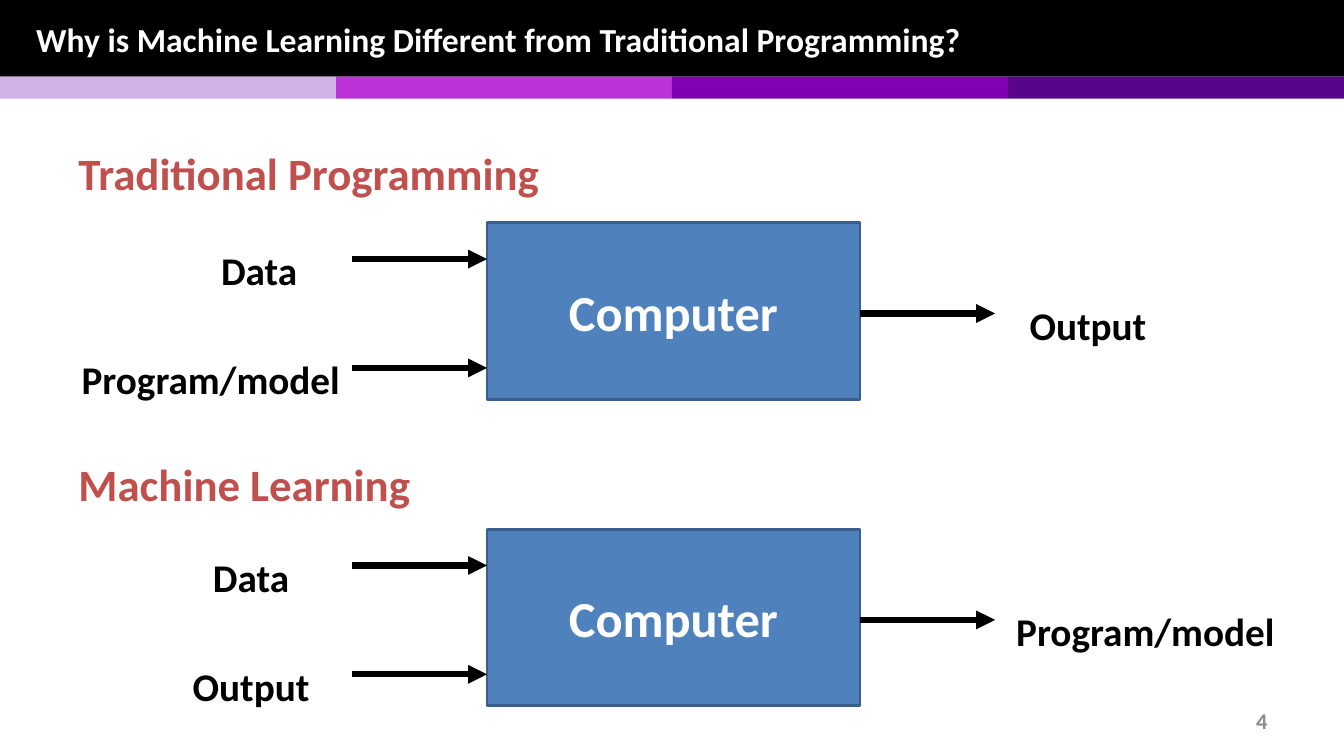
from lxml.etree import SubElement
from pptx import Presentation
from pptx.dml.color import RGBColor
from pptx.enum.shapes import MSO_CONNECTOR, MSO_SHAPE
from pptx.enum.text import MSO_ANCHOR, PP_ALIGN
from pptx.oxml.ns import qn
from pptx.util import Inches, Pt

BLACK = RGBColor(0x00, 0x00, 0x00)
WHITE = RGBColor(0xFF, 0xFF, 0xFF)
GREY = RGBColor(0x8C, 0x8C, 0x8C)
RED = RGBColor(0xC0, 0x50, 0x4D)
BLUE = RGBColor(0x4F, 0x81, 0xBD)
DARK_BLUE = RGBColor(0x3A, 0x5F, 0x8C)
STRIPES = [RGBColor(0xCF, 0xB3, 0xE6), RGBColor(0xBD, 0x33, 0xDA),
           RGBColor(0x80, 0x00, 0xB3), RGBColor(0x57, 0x05, 0x8A)]

# Content: each label is (text, horizontal centre)
TITLE = "Why is Machine Learning Different from Traditional Programming?"
PAGE_NUMBER = "4"
DIAGRAMS = [
    {"heading": "Traditional Programming", "heading_top": 1.13, "top": 2.21,
     "inputs": [("Data", 2.57), ("Program/model", 2.09)],
     "output": ("Output", 10.79)},
    {"heading": "Machine Learning", "heading_top": 4.22, "top": 5.25,
     "inputs": [("Data", 2.49), ("Output", 2.49)],
     "output": ("Program/model", 11.36)},
]

# Layout in inches
WIDTH, HEIGHT = 13.33, 7.5
BANNER_HEIGHT, STRIPE_HEIGHT = 0.76, 0.22
COMPUTER_LEFT, COMPUTER_WIDTH, COMPUTER_HEIGHT = 4.83, 3.7, 1.75
COMPUTER_RIGHT = COMPUTER_LEFT + COMPUTER_WIDTH
ARROW_LENGTH = 1.34
INPUT_ROWS, OUTPUT_ROW = (0.36, 1.44), 0.9
LABEL_WIDTH, LABEL_HEIGHT, LABEL_RISE = 3, 0.81, 0.41

deck = Presentation()
deck.slide_width, deck.slide_height = Inches(WIDTH), Inches(HEIGHT)
page = deck.slides.add_slide(deck.slide_layouts[6])


def write(box, text, size, color, align=PP_ALIGN.LEFT, anchor=MSO_ANCHOR.MIDDLE, spacing=1.0):
    frame = box.text_frame
    frame.word_wrap = True
    frame.vertical_anchor = anchor
    para = frame.paragraphs[0]
    para.text = text
    para.alignment = align
    para.line_spacing = spacing
    para.font.name = "Calibri"
    para.font.size = Pt(size)
    para.font.bold = True
    para.font.color.rgb = color


def add_text(left, top, width, height, *text_style, **options):
    box = page.shapes.add_textbox(Inches(left), Inches(top), Inches(width), Inches(height))
    write(box, *text_style, **options)


def add_rectangle(left, top, width, height, fill, line=None):
    box = page.shapes.add_shape(MSO_SHAPE.RECTANGLE, Inches(left), Inches(top),
                                Inches(width), Inches(height))
    box.shadow.inherit = False
    box.fill.solid()
    box.fill.fore_color.rgb = fill
    if line is None:
        box.line.fill.background()
    else:
        box.line.color.rgb = line
        box.line.width = Pt(2)
    return box


def add_arrow(left, y):
    arrow = page.shapes.add_connector(MSO_CONNECTOR.STRAIGHT, Inches(left), Inches(y),
                                      Inches(left + ARROW_LENGTH), Inches(y))
    arrow.line.color.rgb = BLACK
    arrow.line.width = Pt(4.5)
    SubElement(arrow.line._get_or_add_ln(), qn("a:tailEnd"), type="triangle")
    SubElement(arrow._element.spPr, qn("a:effectLst"))


def add_label(label, y):
    text, center = label
    add_text(center - LABEL_WIDTH / 2, y - LABEL_RISE, LABEL_WIDTH, LABEL_HEIGHT,
             text, 28, BLACK, align=PP_ALIGN.CENTER, spacing=1.5)


# Banner, stripes, title and page number
add_rectangle(0, 0, WIDTH, BANNER_HEIGHT, BLACK)
stripe_width = WIDTH / len(STRIPES)
for column, color in enumerate(STRIPES):
    add_rectangle(column * stripe_width, BANNER_HEIGHT, stripe_width, STRIPE_HEIGHT, color)
add_text(0.26, 0.01, 12.82, 0.75, TITLE, 24, WHITE)
add_text(9.56, 6.95, 3.11, 0.4, PAGE_NUMBER, 16, GREY, align=PP_ALIGN.RIGHT)

# Diagrams: two inputs, a computer and one output
for diagram in DIAGRAMS:
    top = diagram["top"]
    add_text(0.68, diagram["heading_top"], 11.98, 0.83, diagram["heading"], 32, RED,
             anchor=MSO_ANCHOR.TOP, spacing=1.5)
    computer = add_rectangle(COMPUTER_LEFT, top, COMPUTER_WIDTH, COMPUTER_HEIGHT,
                             BLUE, DARK_BLUE)
    write(computer, "Computer", 36, WHITE, align=PP_ALIGN.CENTER)
    for label, row in zip(diagram["inputs"], INPUT_ROWS):
        add_arrow(COMPUTER_LEFT - ARROW_LENGTH, top + row)
        add_label(label, top + row)
    add_arrow(COMPUTER_RIGHT, top + OUTPUT_ROW)
    add_label(diagram["output"], top + OUTPUT_ROW)

deck.save("out.pptx")
